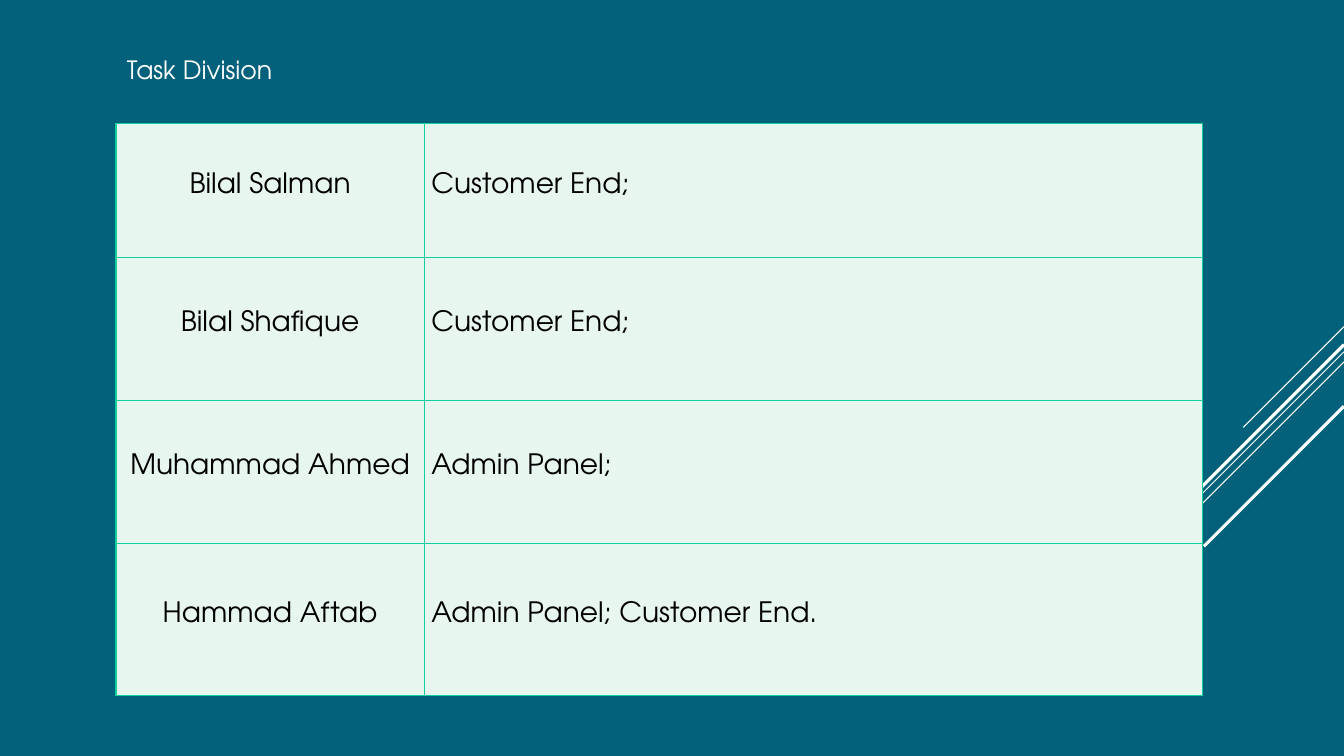
from dataclasses import dataclass

from lxml.etree import SubElement
from pptx import Presentation
from pptx.dml.color import RGBColor
from pptx.enum.shapes import MSO_CONNECTOR
from pptx.enum.text import MSO_ANCHOR, MSO_AUTO_SIZE, PP_ALIGN
from pptx.oxml.ns import qn
from pptx.util import Pt


@dataclass(frozen=True)
class Theme:
    font: str = "TeX Gyre Adventor"
    background: str = "04617B"
    light: str = "FFFFFF"
    dark: str = "000000"
    cell: str = "E7F6EF"
    border: str = "10CF9B"
    title_size: float = 18
    table_size: float = 20
    border_width: float = 1


THEME = Theme()
SLIDE_WIDTH, SLIDE_HEIGHT = 960, 540
DIAGONALS = [
    (233.3, 72, 0.75),
    (251.3, 234.7, 0.75),
    (258.5, 149, 0.75),
    (246.2, 137.5, 2.25),
    (290.2, 100, 2.25),
]
TASKS = [
    ("Bilal Salman", "Customer End;"),
    ("Bilal Shafique", "Customer End;"),
    ("Muhammad Ahmed", "Admin Panel;"),
    ("Hammad Aftab", "Admin Panel; Customer End."),
]
COLUMN_WIDTHS = [220.3, 555.8]
ROW_HEIGHTS = [95.8, 102.2, 102.2, 108.7]


def apply_format(target, values):
    for name, value in values.items():
        setattr(target, name, value)


def write_text(paragraph, text, size, color):
    run = paragraph.add_run()
    run.text = text
    apply_format(run.font, {"name": THEME.font, "size": Pt(size)})
    run.font.color.rgb = RGBColor.from_string(color)


def add_diagonal(slide, top, reach, width):
    line = slide.shapes.add_connector(
        MSO_CONNECTOR.STRAIGHT,
        Pt(SLIDE_WIDTH), Pt(top), Pt(SLIDE_WIDTH - reach), Pt(top + reach),
    )
    line.line.width = Pt(width)
    line.line.color.rgb = RGBColor.from_string(THEME.light)
    SubElement(line._element.spPr, qn("a:effectLst"))


def add_borders(cell):
    properties = cell._tc.get_or_add_tcPr()
    for side in ("a:lnL", "a:lnR", "a:lnT", "a:lnB"):
        border = SubElement(properties, qn(side), w=str(Pt(THEME.border_width)))
        fill = SubElement(border, qn("a:solidFill"))
        SubElement(fill, qn("a:srgbClr"), val=THEME.border)


def fill_cell(cell, text, alignment):
    add_borders(cell)
    cell.fill.solid()
    cell.fill.fore_color.rgb = RGBColor.from_string(THEME.cell)
    apply_format(cell, {
        "vertical_anchor": MSO_ANCHOR.MIDDLE,
        "margin_left": Pt(5), "margin_right": Pt(5),
        "margin_top": Pt(0), "margin_bottom": Pt(0),
    })
    paragraph = cell.text_frame.paragraphs[0]
    apply_format(paragraph, {"alignment": alignment, "line_spacing": Pt(12)})
    write_text(paragraph, text, THEME.table_size, THEME.dark)


def add_task_table(slide, left, top):
    table = slide.shapes.add_table(
        len(TASKS), len(COLUMN_WIDTHS), Pt(left), Pt(top),
        Pt(sum(COLUMN_WIDTHS)), Pt(sum(ROW_HEIGHTS)),
    ).table
    apply_format(table, {"first_row": False, "horz_banding": False})
    for column, width in zip(table.columns, COLUMN_WIDTHS):
        column.width = Pt(width)
    for row, height, task in zip(table.rows, ROW_HEIGHTS, TASKS):
        row.height = Pt(height)
        for cell, text, alignment in zip(row.cells, task, (PP_ALIGN.CENTER, PP_ALIGN.LEFT)):
            fill_cell(cell, text, alignment)


def add_title(slide, text, left, top, width, height):
    shape = slide.shapes.add_textbox(Pt(left), Pt(top), Pt(width), Pt(height))
    apply_format(shape.text_frame, {
        "word_wrap": True, "auto_size": MSO_AUTO_SIZE.SHAPE_TO_FIT_TEXT,
    })
    write_text(shape.text_frame.paragraphs[0], text, THEME.title_size, THEME.light)


def main():
    presentation = Presentation()
    apply_format(presentation, {
        "slide_width": Pt(SLIDE_WIDTH), "slide_height": Pt(SLIDE_HEIGHT),
    })
    slide = presentation.slides.add_slide(presentation.slide_layouts[6])
    slide.background.fill.solid()
    slide.background.fill.fore_color.rgb = RGBColor.from_string(THEME.background)
    for top, reach, width in DIAGONALS:
        add_diagonal(slide, top, reach, width)
    add_task_table(slide, 82.8, 88)
    add_title(slide, "Task Division", 83.5, 35.3, 290, 29)
    presentation.save("out.pptx")


if __name__ == "__main__":
    main()
